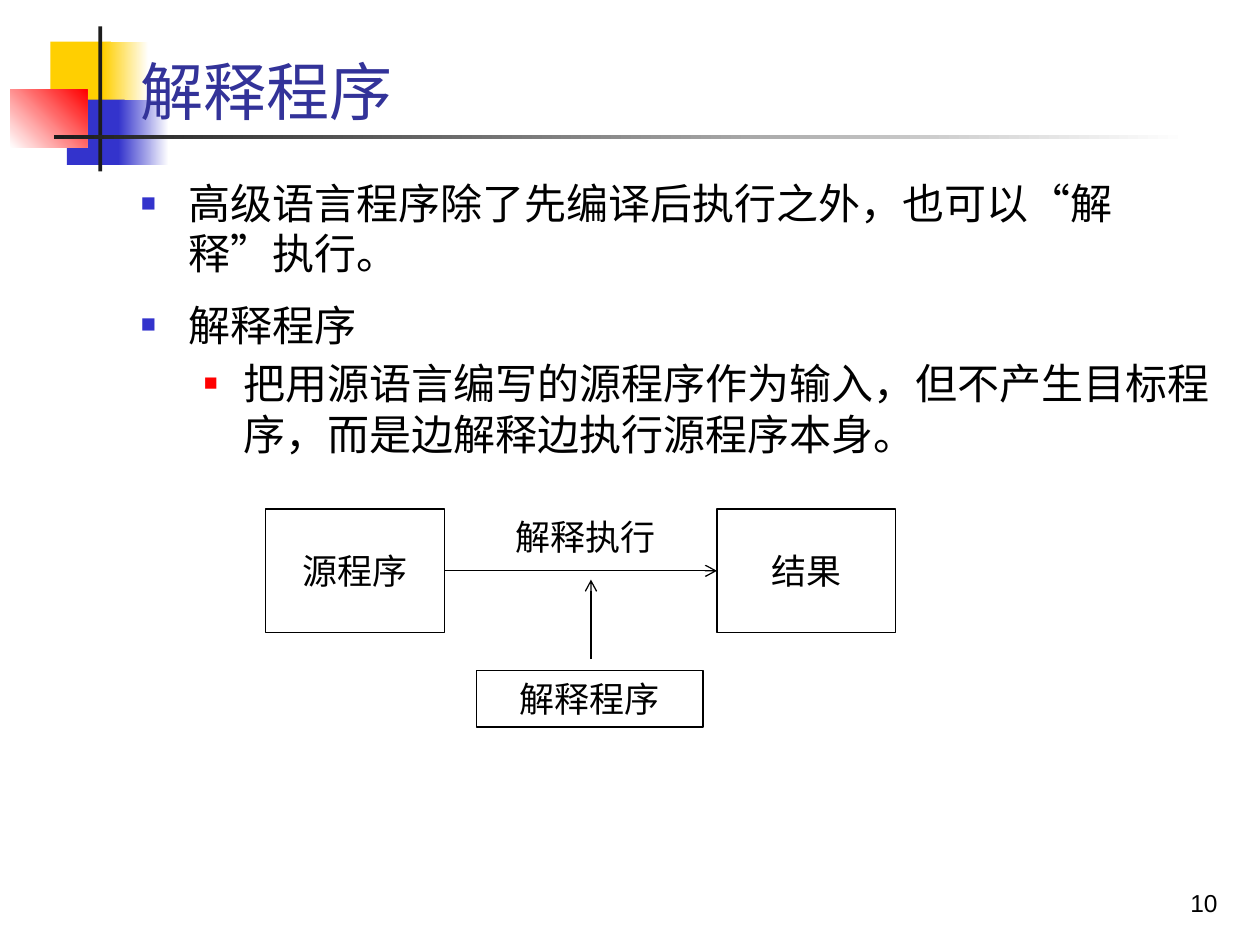
from lxml import etree
from pptx import Presentation
from pptx.dml.color import RGBColor
from pptx.enum.lang import MSO_LANGUAGE_ID
from pptx.enum.shapes import MSO_CONNECTOR, MSO_SHAPE
from pptx.enum.text import MSO_ANCHOR, PP_ALIGN
from pptx.oxml.ns import qn
from pptx.util import Pt

RECTANGLE = MSO_SHAPE.RECTANGLE
STRAIGHT = MSO_CONNECTOR.STRAIGHT
CHINESE = MSO_LANGUAGE_ID.SIMPLIFIED_CHINESE
TOP, MIDDLE, BOTTOM = MSO_ANCHOR.TOP, MSO_ANCHOR.MIDDLE, MSO_ANCHOR.BOTTOM
LEFT, CENTER, RIGHT = PP_ALIGN.LEFT, PP_ALIGN.CENTER, PP_ALIGN.RIGHT

BLACK = RGBColor(0x00, 0x00, 0x00)
WHITE = RGBColor(0xFF, 0xFF, 0xFF)
CHARCOAL = RGBColor(0x1C, 0x1C, 0x1C)
YELLOW = RGBColor(0xFF, 0xCF, 0x01)
BLUE = RGBColor(0x33, 0x33, 0xCC)
RED = RGBColor(0xFF, 0x00, 0x00)
NAVY = RGBColor(0x33, 0x33, 0x99)

ARIAL = "Arial"
NOTO = "Noto Sans CJK SC"


class SlideBuilder:
    line_width = 0.75
    line_ratio = 1.2
    label_size = 20
    body_size = 24

    def __init__(self, slide):
        self.slide = slide

    def rectangle(self, box):
        shape = self.slide.shapes.add_shape(RECTANGLE, *map(Pt, box))
        shape.shadow.inherit = False
        return shape

    def block(self, box, start, end=None, angle=0):
        shape = self.rectangle(box)
        shape.line.fill.background()
        if end is None:
            shape.fill.solid()
            shape.fill.fore_color.rgb = start
            return
        shape.fill.gradient()
        shape.fill.gradient_angle = angle
        for stop, color in zip(shape.fill.gradient_stops, (start, end)):
            stop.color.rgb = color

    def format(self, paragraph, size, font=NOTO, color=BLACK, align=LEFT):
        paragraph.alignment = align
        for run in paragraph.runs:
            run.font.size = Pt(size)
            run.font.name = font
            run.font.color.rgb = color
            run.font.language_id = CHINESE
            latin = run.font._element.find(qn("a:latin"))
            east_asian = etree.Element(qn("a:ea"), typeface=NOTO)
            latin.addnext(east_asian)

    def text(self, box, text, size, font=NOTO, color=BLACK, align=LEFT,
             anchor=TOP, wrap=True):
        frame = self.slide.shapes.add_textbox(*map(Pt, box)).text_frame
        frame.word_wrap = wrap
        frame.vertical_anchor = anchor
        frame.text = text
        self.format(frame.paragraphs[0], size, font, color, align)
        return frame

    def bullets(self, box, items):
        frame = self.slide.shapes.add_textbox(*map(Pt, box)).text_frame
        frame.word_wrap = True
        frame.margin_top = Pt(5.5)
        for index, (text, font, level) in enumerate(items):
            paragraph = frame.paragraphs[0] if index == 0 else frame.add_paragraph()
            paragraph.text = text
            paragraph.level = level
            self.format(paragraph, self.body_size, font)
            paragraph.line_spacing = Pt(self.body_size * self.line_ratio)
            indent, hanging, before, color, percent = (
                (58.5, 22.5, 4.8, RED, 55) if level else (27, 27, 12, BLUE, 60))
            paragraph.space_before = Pt(before)
            properties = paragraph._p.get_or_add_pPr()
            properties.set("marL", str(Pt(indent)))
            properties.set("indent", str(-Pt(hanging)))
            bullet_color = etree.SubElement(properties, qn("a:buClr"))
            etree.SubElement(bullet_color, qn("a:srgbClr"), val=str(color))
            etree.SubElement(properties, qn("a:buSzPct"), val=str(percent * 1000))
            etree.SubElement(properties, qn("a:buFont"), typeface=ARIAL)
            etree.SubElement(properties, qn("a:buChar"), char="■")

    def outlined(self, box, text):
        shape = self.rectangle(box)
        shape.fill.background()
        shape.line.color.rgb = BLACK
        shape.line.width = Pt(self.line_width)
        shape.text_frame.text = text
        shape.text_frame.vertical_anchor = MIDDLE
        self.format(shape.text_frame.paragraphs[0], self.label_size, align=CENTER)

    def arrow(self, start, end):
        connector = self.slide.shapes.add_connector(
            STRAIGHT, *map(Pt, (*start, *end)))
        connector.line.color.rgb = BLACK
        connector.line.width = Pt(self.line_width)
        properties = connector.element.spPr
        etree.SubElement(properties.find(qn("a:ln")), qn("a:tailEnd"), type="arrow")
        etree.SubElement(properties, qn("a:effectLst"))


def main():
    presentation = Presentation()
    presentation.slide_width, presentation.slide_height = Pt(720), Pt(540)
    builder = SlideBuilder(presentation.slides.add_slide(presentation.slide_layouts[6]))

    builder.block((28.8, 23.8, 34.6, 37.4), YELLOW)
    builder.block((59, 23.8, 25.9, 37.4), YELLOW, WHITE)
    builder.block((38.2, 56.9, 33.1, 37.4), BLUE)
    builder.block((67.7, 56.9, 28.8, 37.4), BLUE, WHITE)
    builder.block((5.8, 51.1, 44, 33.1), WHITE, RED, 45)
    builder.block((56.2, 15.1, 2.2, 82.8), CHARCOAL)
    builder.block((31, 77, 648, 2.2), CHARCOAL, WHITE)

    title_size = 36
    title = builder.text((73.4, 22.3, 630, 51.1), "解释程序", title_size,
                         ARIAL, NAVY, anchor=BOTTOM)
    title.margin_bottom = 0
    title.paragraphs[0].line_spacing = Pt(title_size * builder.line_ratio)

    builder.bullets((73.4, 95.8, 628.6, 393.8), [
        ("高级语言程序除了先编译后执行之外，也可以“解释”执行。", ARIAL, 0),
        ("解释程序", NOTO, 0),
        ("把用源语言编写的源程序作为输入，但不产生目标程序，"
         "而是边解释边执行源程序本身。", NOTO, 1),
    ])
    builder.text((553, 491.8, 149.8, 36), "10", 14, ARIAL,
                 align=RIGHT, anchor=BOTTOM)

    source_left, result_left, stage_top = 151.9, 409.7, 290.9
    stage_width, stage_height = 102.2, 70.6
    for left, stage in ((source_left, "源程序"), (result_left, "结果")):
        builder.outlined((left, stage_top, stage_width, stage_height), stage)
    builder.outlined((272.2, 383, 129.6, 32.4), "解释程序")
    builder.text((286.6, 292.3, 95.8, 28.1), "解释执行", builder.label_size,
                 align=CENTER, anchor=MIDDLE, wrap=False)

    flow_y = stage_top + stage_height / 2
    interpreter_x = 337.7
    builder.arrow((source_left + stage_width, flow_y), (result_left, flow_y))
    builder.arrow((interpreter_x, 376.6), (interpreter_x, 331.2))

    presentation.save("out.pptx")


if __name__ == "__main__":
    main()
